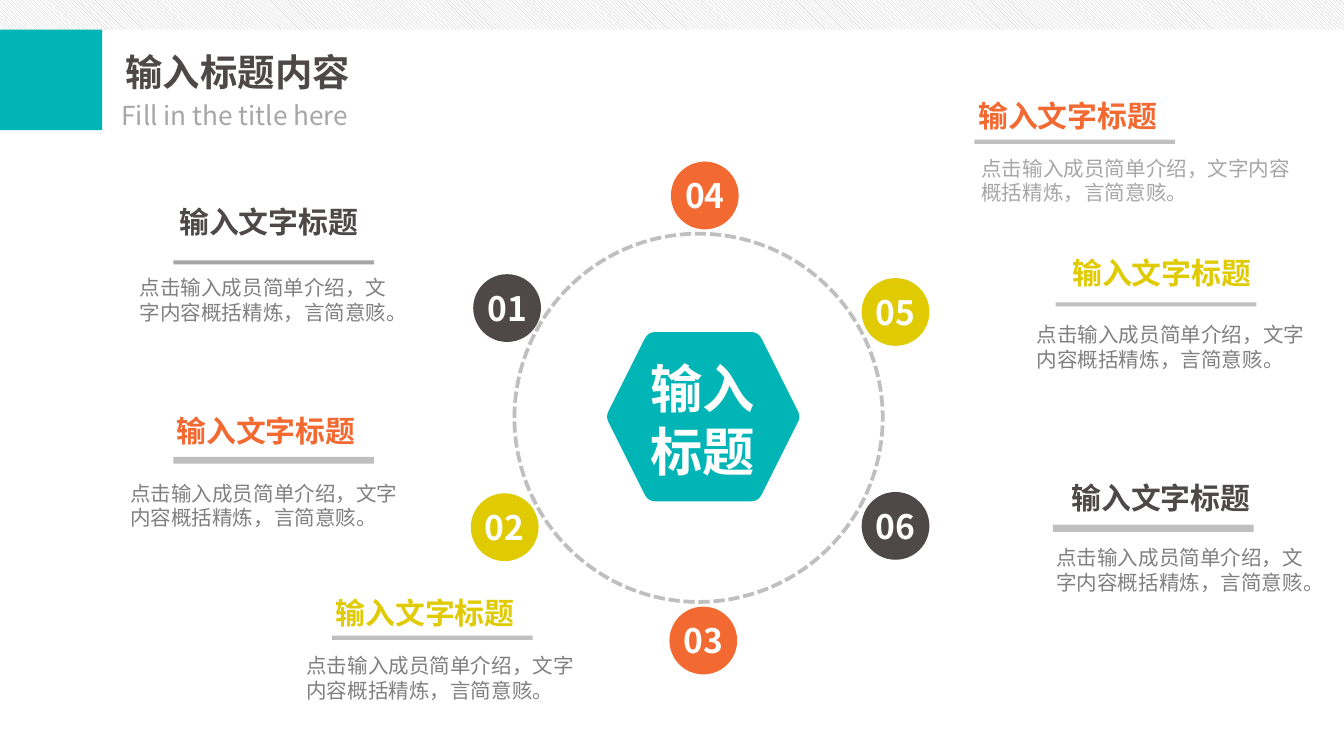
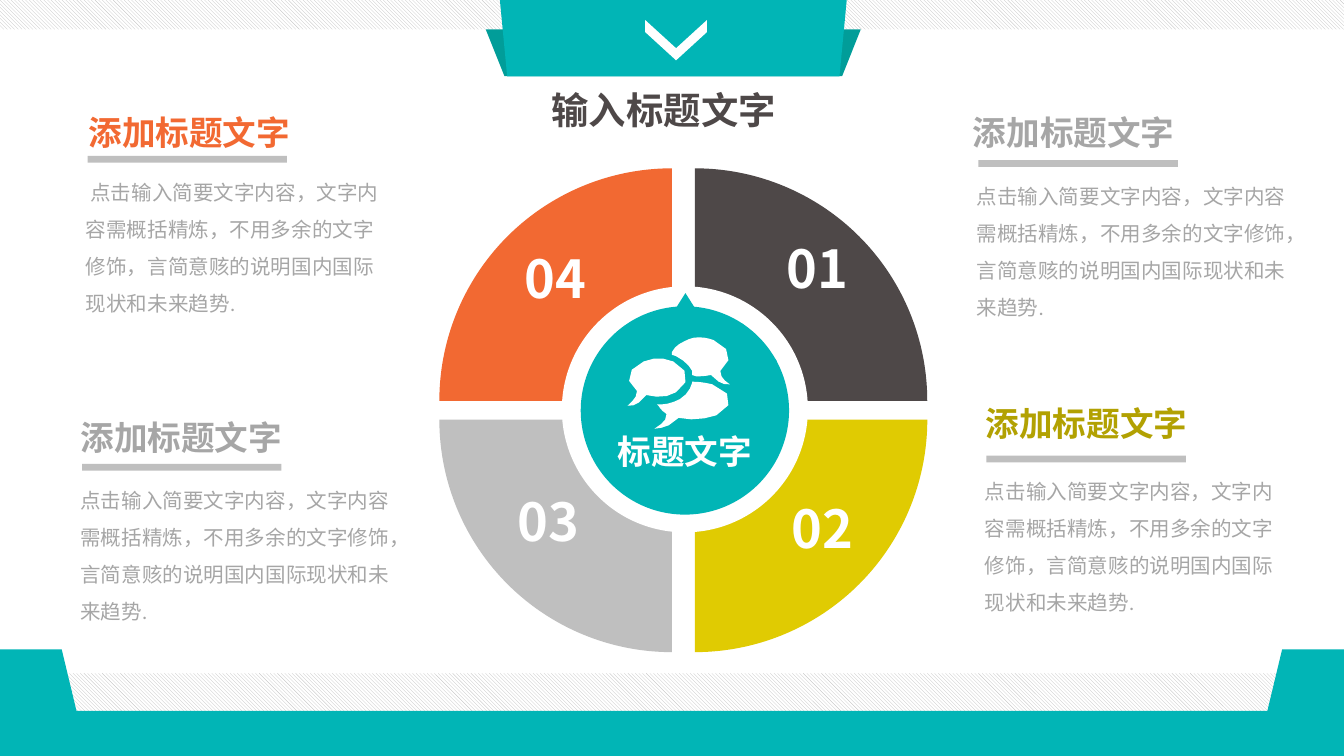
from dataclasses import dataclass
from typing import NamedTuple

from pptx import Presentation
from pptx import util as u
from pptx.dml.color import RGBColor
from pptx.enum import dml, shapes, text
from pptx.oxml import ns, xmlchemy as xml

Pt = u.Pt
Kind = shapes.MSO_SHAPE


# Theme
@dataclass(frozen=True)
class Theme:
    teal: str = "01B5B6"
    deep: str = "019D99"
    dark: str = "4E4848"
    red: str = "F26932"
    lime: str = "E0CB02"
    olive: str = "B2A102"
    amber: str = "FFC000"
    white: str = "FFFFFF"
    mist: str = "BFBFBF"
    ash: str = "A6A6A6"
    gray: str = "808080"
    sans: str = "Noto Sans CJK SC"
    plain: str = "Calibri"
    small: int = 11
    sub: int = 14
    label: int = 16
    head: int = 18
    title: int = 20
    big: int = 28
    lead: float = 1.2


T = Theme()
WIDE, HIGH = 720, 405


class Box(NamedTuple):
    x: float
    y: float
    w: float
    h: float


class Note(NamedTuple):
    title: tuple
    bar: tuple
    thick: float
    body: tuple
    wide: float
    color: str
    ink: str = T.gray
    rule: str = T.mist
    mark: str = ""


class Look(NamedTuple):
    title: str
    size: int
    wide: float
    high: float
    wrap: bool
    body: str
    font: str
    lead: float
    deep: float
    bar: float


class Mark(NamedTuple):
    num: str
    x: float
    y: float
    color: str


# Drawing helpers
def rgb(color: str) -> RGBColor:
    return RGBColor.from_string(color)


def paint(shp, fill: str = "", line: str = "", width: float = 0.75):
    shp.shadow.inherit = False
    if fill:
        shp.fill.solid()
        shp.fill.fore_color.rgb = rgb(fill)
    else:
        shp.fill.background()
    if line:
        shp.line.color.rgb = rgb(line)
        shp.line.width = Pt(width)
    else:
        shp.line.fill.background()
    return shp


def draw(sld, kind, box: Box, fill: str = "", line: str = "", width: float = 0.75):
    shp = sld.shapes.add_shape(kind, *(Pt(v) for v in box))
    return paint(shp, fill, line, width)


def write(shp, lines: list, size: int, color: str, bold: bool = False,
          font: str = T.sans, align=None, lead: float = T.lead, wrap: bool = True) -> None:
    frame = shp.text_frame
    frame.word_wrap = wrap
    frame.auto_size = text.MSO_AUTO_SIZE.SHAPE_TO_FIT_TEXT
    for i, words in enumerate(lines):
        para = frame.add_paragraph() if i else frame.paragraphs[0]
        para.line_spacing = Pt(round(size * lead, 1))
        if align is not None:
            para.alignment = align
        run = para.add_run()
        run.text = words
        run.font.name = font
        run.font.size = Pt(size)
        run.font.bold = bold
        run.font.color.rgb = rgb(color)
        east = xml.OxmlElement("a:ea")
        east.set("typeface", T.sans)
        run.font._element.find(ns.qn("a:latin")).addnext(east)


def label(sld, box: Box, words: str, size: int, color: str, **style) -> None:
    shp = sld.shapes.add_textbox(*(Pt(v) for v in box))
    write(shp, [words], size, color, **style)


def hatch(sld, y: float, high: float) -> None:
    shp = draw(sld, Kind.RECTANGLE, Box(0, y, WIDE, high))
    shp.fill.patterned()
    shp.fill.pattern = dml.MSO_PATTERN.LIGHT_DOWNWARD_DIAGONAL
    shp.fill.fore_color.rgb = rgb(T.mist)
    shp.fill.back_color.rgb = rgb(T.white)


def outline(sld, steps: list, fill: str, cuts: int = 3) -> None:
    """Fill a closed outline; pairs are corners, sixes are cubic curves."""
    dots = [steps[0]]
    for step in steps[1:]:
        if len(step) == 2:
            dots.append(step)
            continue
        ends = [dots[-1], step[:2], step[2:4], step[4:]]
        for i in range(1, cuts + 1):
            t = i / cuts
            mix = ((1 - t) ** 3, 3 * t * (1 - t) ** 2, 3 * t * t * (1 - t), t ** 3)
            dots.append(tuple(sum(m * e[k] for m, e in zip(mix, ends)) for k in (0, 1)))
    if dots[-1] == dots[0]:
        dots.pop()
    pen = sld.shapes.build_freeform(*(round(v * 100) for v in dots[0]), scale=Pt(1) / 100)
    pen.add_line_segments([(round(x * 100), round(y * 100)) for x, y in dots[1:]])
    paint(pen.convert_to_shape(), fill)


def notes(sld, items: list, look: Look) -> None:
    for n in items:
        label(sld, Box(*n.title, look.wide, look.high), look.title, look.size, n.color,
              bold=True, wrap=look.wrap)
        draw(sld, Kind.RECTANGLE, Box(*n.bar, look.bar, n.thick), n.rule)
        label(sld, Box(*n.body, n.wide, look.deep), n.mark + look.body, T.small, n.ink,
              font=look.font, lead=look.lead)


# Slide 1: six notes around a ring
RING_LOOK = Look("输入文字标题", T.label, 111.6, 26.6, False,
                 "点击输入成员简单介绍，文字内容概括精炼，言简意赅。", T.sans, T.lead, 33.8, 107.6)
RING_NOTES = [
    Note((89, 105.8), (92.9, 139.5), 2.2, (67.7, 144), 157, T.dark, rule=T.ash),
    Note((87.5, 217.4), (92.9, 244.8), 3.6, (62.6, 253.9), 159.8, T.red),
    Note((172.8, 314.9), (177.8, 340.6), 2.2, (157, 346.3), 159.8, T.lime),
    Note((517, 49), (522, 74.9), 2.2, (518.7, 79.9), 188, T.red, T.ash),
    Note((567.4, 132.9), (565.5, 162), 2.2, (548.3, 169.2), 164.9, T.lime),
    Note((567, 253.4), (564.1, 281), 4, (558.7, 288.7), 147.6, T.dark),
]
DISCS = [
    Mark("04", 359.4, 86.6, T.red), Mark("05", 461.6, 149, T.lime),
    Mark("06", 461.6, 263.6, T.dark), Mark("03", 358.6, 325, T.red),
    Mark("02", 252.2, 264.3, T.lime), Mark("01", 253.5, 146.9, T.dark),
]


def ring(sld) -> None:
    notes(sld, RING_NOTES, RING_LOOK)

    # Hub
    for box, fill in ((Box(331.4, 184, 90.7, 78.5), T.amber),
                      (Box(332.8, 184.7, 88.6, 76.3), T.teal)):
        hub = draw(sld, Kind.HEXAGON, box, fill, T.teal, 12.25)
        hub.line._get_or_add_ln().append(xml.OxmlElement("a:round"))
    core = draw(sld, Kind.RECTANGLE, Box(348.5, 190.6, 59.8, 67.7), line=T.teal)
    frame = core.text_frame
    frame.margin_left = frame.margin_right = frame.margin_top = frame.margin_bottom = 0
    write(core, ["输入", "标题"], T.big, T.white, bold=True, align=text.PP_ALIGN.JUSTIFY)

    # Numbered discs and the dashed ring
    for d in DISCS:
        draw(sld, Kind.OVAL, Box(d.x, d.y, 36.3, 36.3), d.color)
        label(sld, Box(d.x + 0.5, d.y + 3.7, 36.7, 28.8), d.num, T.head, T.white,
              bold=True, wrap=False)
    loop = draw(sld, Kind.OVAL, Box(275.6, 125.2, 197.3, 197.3), line=T.mist, width=2)
    loop.line.dash_style = dml.MSO_LINE.SQUARE_DOT

    # Title
    draw(sld, Kind.RECTANGLE, Box(0, 15.8, 54.7, 54), T.teal)
    label(sld, Box(60.2, 23, 141.1, 31.7), "输入标题内容", T.title, T.dark, bold=True)
    label(sld, Box(58, 49.7, 141.1, 24.5), "Fill in the title here", T.sub, T.ash, wrap=False)
    hatch(sld, 0, 15.8)


# Slide 2: four quarters around a hub
PIE_LOOK = Look("添加标题文字", T.head, 171.4, 28.8, True,
                "点击输入简要文字内容，文字内容需概括精炼，不用多余的文字修饰，"
                "言简意赅的说明国内国际现状和未来趋势.", T.plain, 1.8, 87.1, 106.8)
PIE_NOTES = [
    Note((40.3, 56.2), (46.9, 83.5), 3.6, (38.9, 86.4), 177.1, T.red, T.ash, mark=" "),
    Note((36, 219.6), (44, 248.5), 3.6, (36, 251.3), 187.2, T.ash, T.ash),
    Note((521, 212.4), (528.5, 244.1), 3.6, (520.6, 246.7), 177.1, T.olive, T.ash),
    Note((514.1, 56.2), (524.2, 85.8), 3.6, (516.2, 88.6), 184.3, T.ash, T.ash),
]
# Clockwise from the lower right, with the place of each number
PARTS = [
    Mark("02", 410.4, 262.1, T.lime), Mark("03", 263.5, 258.5, T.mist),
    Mark("04", 267.3, 128.2, T.red), Mark("01", 407.5, 123.1, T.dark),
]
DROP = [
    (367.2, 157), (372.2, 164.9), (401, 167, 422.6, 190.8, 422.6, 219.6),
    (422.6, 250.6, 398.2, 275, 367.2, 275), (336.2, 275, 311.8, 250.6, 311.8, 219.6),
    (311.8, 190.8, 334.1, 167, 362.2, 164.9),
]
CHATS = [
    [(336.2, 217.4), (339.1, 214.6, 341.3, 213.1, 341.3, 209.5),
     (334.1, 205.2, 336.2, 196.6, 344.9, 193.7), (349.9, 191.5, 355.7, 191.5, 360.7, 193.7),
     (369.4, 197.3, 370.1, 205.9, 362.2, 210.2), (357.8, 213.1, 351.4, 213.1, 346.3, 211.7),
     (341.3, 217.4, 339.8, 217.4, 336.2, 217.4)],
    [(374.4, 180.7), (377.3, 180.7, 380.2, 181.4, 382.3, 182.2),
     (391.7, 185.8, 393.1, 193.7, 385.9, 198.7), (385.9, 202.3, 388.1, 203.8, 391, 205.9),
     (387.4, 205.9, 385.9, 205.9, 380.9, 200.9), (378, 201.6, 375.1, 201.6, 373, 201.6),
     (370.8, 200.9), (370.8, 198.7), (369.4, 195.8, 366.5, 193, 362.2, 190.8),
     (360, 190.1), (360, 188.6), (361.4, 185.8, 363.6, 184.3, 366.5, 182.9),
     (369.4, 181.4, 371.5, 180.7, 374.4, 180.7)],
    [(371.5, 204.5), (375.1, 204.5, 378.7, 205.2, 381.6, 205.9),
     (393.1, 209.5, 393.8, 218.2, 383.8, 222.5), (378, 224.6, 370.1, 225.4, 363.6, 223.9),
     (357.1, 229.7, 355, 229, 350.6, 229.7), (355, 226.8, 357.1, 225.4, 357.1, 221.8),
     (355, 220.3, 353.5, 218.9, 352.8, 217.4), (352.1, 216.7), (354.2, 216.7),
     (357.8, 216.7, 361.4, 215.3, 364.3, 213.8), (367.9, 211.7, 370.1, 208.1, 370.8, 205.2),
     (370.8, 204.5)],
]
EDGE = [(0, 347.9), (33.1, 347.9), (41, 380.9)]


def wheel(sld) -> None:
    # Quarters and numbers
    for i, p in enumerate(PARTS):
        x = 247.7 if i in (0, 3) else 235.4
        y = 100.3 if i < 2 else 90.2
        pie = draw(sld, Kind.PIE, Box(x, y, 249.1, 249.1), p.color)
        pie.adjustments[0] = 54 * i
        pie.adjustments[1] = 54 * (i + 1) % 216
    for p in PARTS:
        label(sld, Box(p.x, p.y, 60.5, 41), p.num, T.big, T.white, bold=True,
              align=text.PP_ALIGN.CENTER)
    notes(sld, PIE_NOTES, PIE_LOOK)

    # Hub
    draw(sld, Kind.OVAL, Box(301, 153.4, 131.8, 131.8), T.white)
    outline(sld, DROP, T.teal)
    draw(sld, Kind.OVAL, Box(311.1, 164.1, 111.6, 111.6), T.teal)
    label(sld, Box(323.7, 227.5, 87.1, 28.8), "标题文字", T.head, T.white, bold=True, wrap=False)
    for chat in CHATS:
        outline(sld, chat, T.white)

    # Footer
    hatch(sld, 360.7, 37.4)
    flip = [(WIDE - x, y) for x, y in reversed(EDGE)]
    outline(sld, EDGE + flip + [(WIDE, HIGH), (0, HIGH)], T.teal)

    # Header ribbon and title
    hatch(sld, 0, 15.8)
    for box, adj, fill in ((Box(260.2, 15.8, 200.9, 25), 0.4, T.deep),
                           (Box(267.8, 0, 185.8, 40.9), 0.095, T.teal)):
        flap = draw(sld, Kind.TRAPEZOID, box, fill)
        flap.adjustments[0] = adj
        flap.rotation = 180
    tick = draw(sld, Kind.CHEVRON, Box(351.4, 5, 21.6, 33.1), T.white)
    tick.adjustments[0] = 0.7
    tick.rotation = 90
    label(sld, Box(288.4, 43.2, 144, 31.7), "输入标题文字", T.title, T.dark, bold=True,
          align=text.PP_ALIGN.JUSTIFY)


def main() -> None:
    deck = Presentation()
    deck.slide_width, deck.slide_height = Pt(WIDE), Pt(HIGH)
    for build in (ring, wheel):
        build(deck.slides.add_slide(deck.slide_layouts[6]))
    deck.save("out.pptx")


if __name__ == "__main__":
    main()
